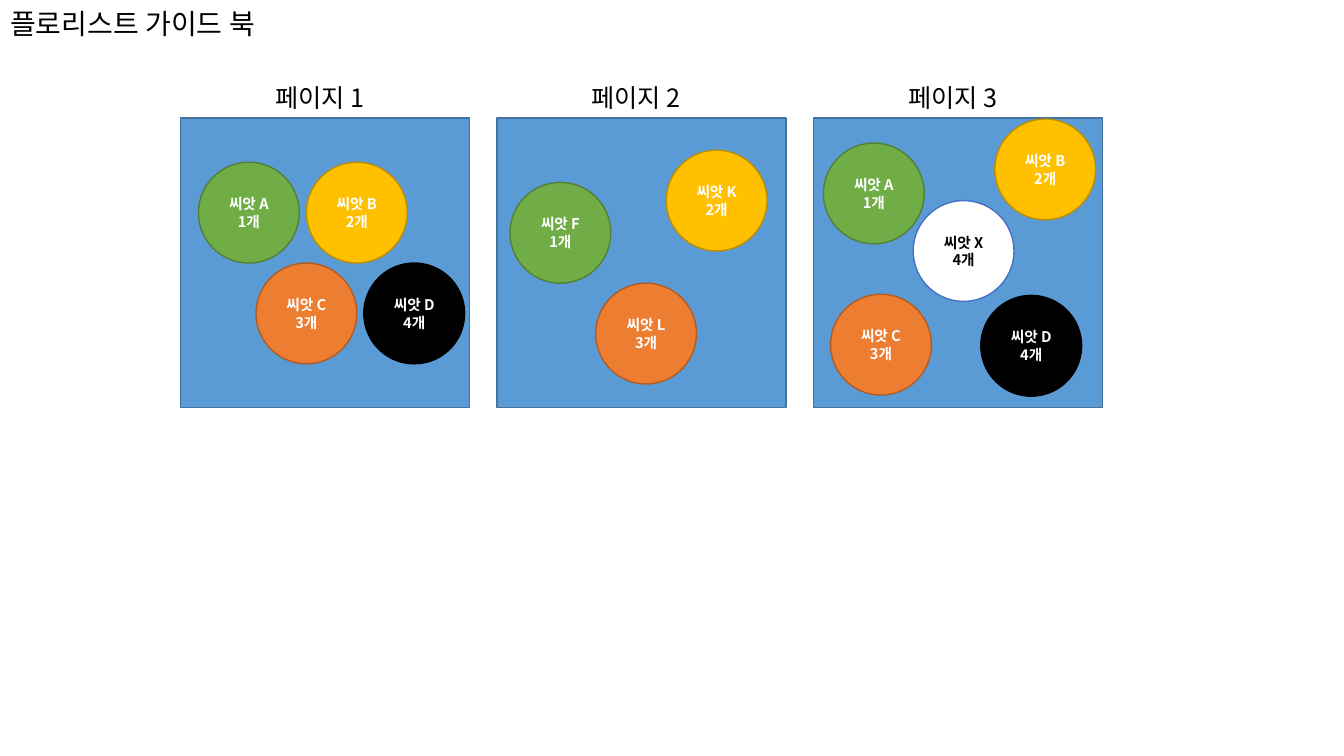
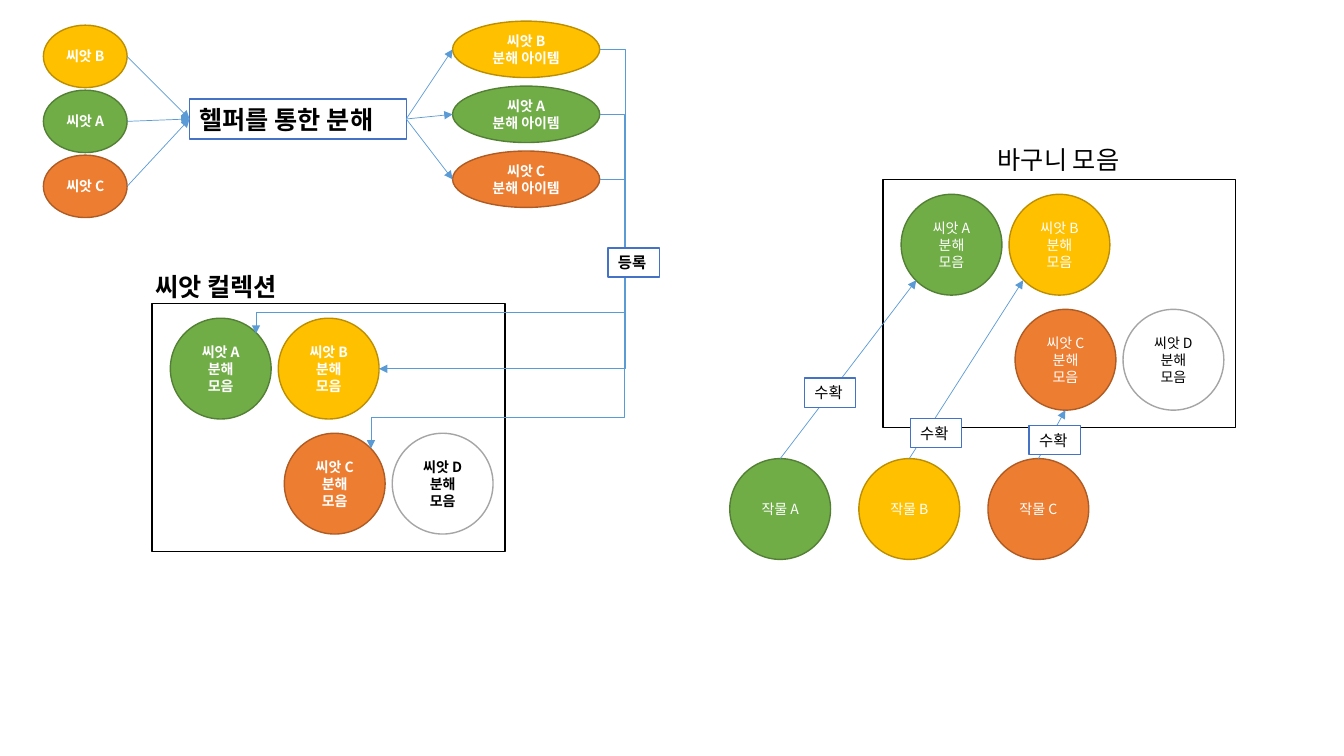
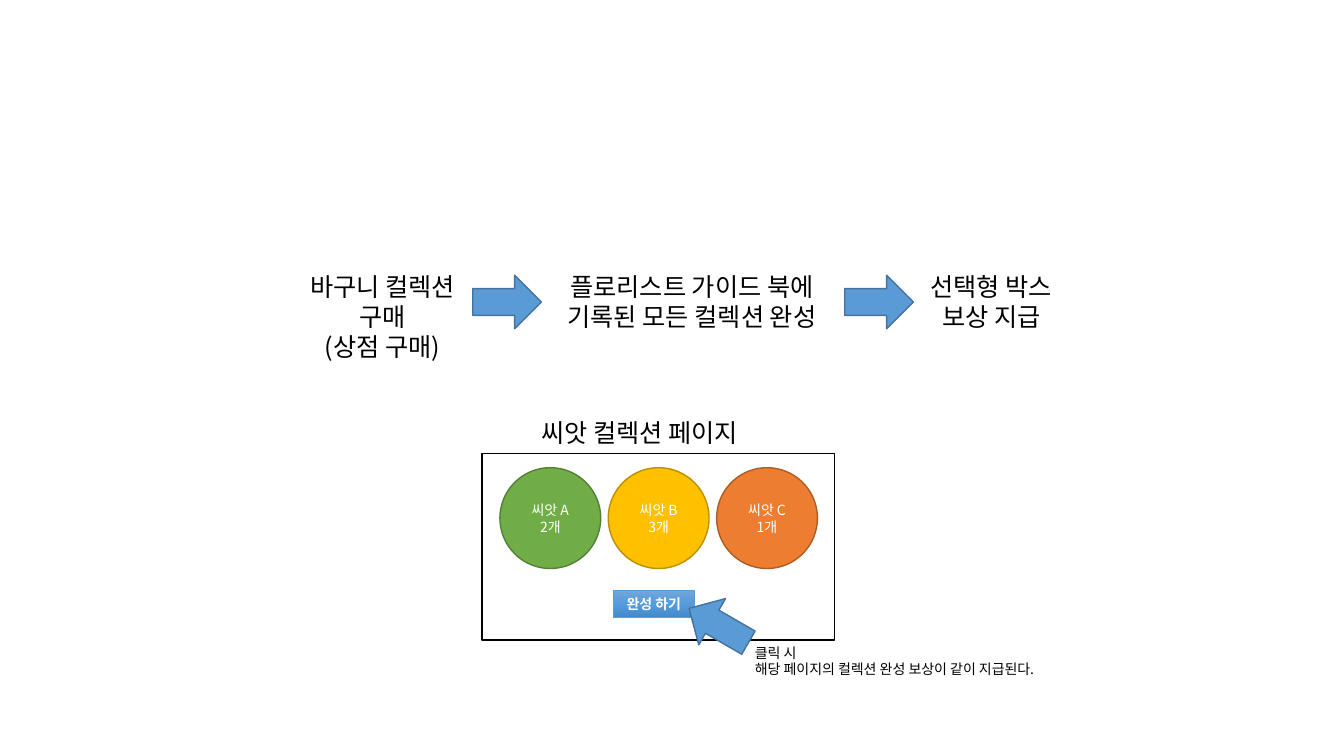
from copy import deepcopy
from lxml.etree import SubElement as Sub
from pptx import Presentation
from pptx.dml.color import RGBColor as RGB
from pptx.enum.shapes import MSO_CONNECTOR as Link, MSO_SHAPE as Form
from pptx.enum.text import MSO_ANCHOR as Anchor, MSO_AUTO_SIZE as Auto, PP_ALIGN as Align
from pptx.oxml.ns import qn
from pptx.util import Pt

FONT = "Noto Sans CJK KR"
HUE = {
    "green": "70AD47", "moss": "538035", "gold": "FFC000", "ochre": "BD8E00",
    "orange": "ED7D31", "rust": "AF5C24", "blue": "5B9BD5", "steel": "43739E",
    "royal": "4472C4", "gray": "A5A5A5", "black": "000000", "white": "FFFFFF",
    "sky": "71A6DB", "azure": "559BDB", "deep": "448ACA",
}
LOOK = {
    "A": ("green", "moss", "white"), "B": ("gold", "ochre", "white"),
    "C": ("orange", "rust", "white"), "D": ("black", "black", "white"),
    "X": ("white", "royal", "black"), "empty": ("white", "gray", "black"),
    "panel": ("blue", "steel", "white"), "frame": ("white", "black", "black"),
    "tag": ("white", "royal", "black"), "plain": (None, None, "black"),
}
DISC = 72
GROW = {"word_wrap": False, "auto_size": Auto.SHAPE_TO_FIT_TEXT}
LEFT = {"alignment": Align.LEFT}
MID = {"alignment": Align.CENTER}


def put(page, form, box, look, text="", size=10, bold=False, frame={}, para=MID):
    fill, edge, ink = LOOK[look]
    spot = [Pt(n) for n in box]
    if form == "title":
        item = page.shapes.title
        item.left, item.top, item.width, item.height = spot
    elif form == "text":
        item = page.shapes.add_textbox(*spot)
    else:
        item = page.shapes.add_shape(form, *spot)
        item.shadow.inherit = False
        item.fill.solid()
        item.fill.fore_color.rgb = RGB.from_string(HUE[fill])
        item.line.color.rgb = RGB.from_string(HUE[edge])
        item.line.width = Pt(1)
    body = item.text_frame
    body.text = text
    for key, val in frame.items():
        setattr(body, key, val)
    for row in body.paragraphs:
        for key, val in para.items():
            setattr(row, key, val)
        for run in row.runs:
            run.font.color.rgb = RGB.from_string(HUE[ink])
            for key, val in {"name": FONT, "size": Pt(size), "bold": bold}.items():
                setattr(run.font, key, val)
            Sub(run.font._element, qn("a:ea")).set("typeface", FONT)
    return item


def join(page, start, end, bends=()):
    kind = Link.ELBOW if bends else Link.STRAIGHT
    line = page.shapes.add_connector(kind, *[Pt(n) for n in (*start, *end)])
    line.line.color.rgb = RGB.from_string(HUE["blue"])
    line.line.width = Pt(0.5)
    Sub(line.element.spPr.find(qn("a:ln")), qn("a:tailEnd")).set("type", "triangle")
    Sub(line.element.spPr, qn("a:effectLst"))
    if bends:
        geom = line.element.spPr.find(qn("a:prstGeom"))
        geom.set("prst", f"bentConnector{len(bends) + 2}")
        for num, bend in enumerate(bends, 1):
            guide = Sub(geom.find(qn("a:avLst")), qn("a:gd"))
            guide.set("name", f"adj{num}")
            guide.set("fmla", f"val {bend}")


deck = Presentation()
deck.slide_width, deck.slide_height = Pt(960), Pt(540)
book, flow, prize = [deck.slides.add_slide(deck.slide_layouts[n]) for n in (5, 6, 6)]

put(book, "title", (0, 0, 960, 36.7), "plain", "플로리스트 가이드 북", 20,
    frame={"vertical_anchor": Anchor.MIDDLE, "word_wrap": True, "auto_size": Auto.NONE},
    para={"alignment": Align.LEFT, "line_spacing": 0.9})
seeds = [
    [("A", "씨앗 A\n1개", 141.8, 115.9), ("B", "씨앗 B\n2개", 218.9, 115.9),
     ("C", "씨앗 C\n3개", 182.9, 187.9), ("D", "씨앗 D 4개", 259.9, 187.9)],
    [("A", "씨앗 F\n1개", 364.3, 130.3), ("B", "씨앗 K\n2개", 475.9, 107.3),
     ("C", "씨앗 L\n3개", 425.5, 202.3)],
    [("A", "씨앗 A\n1개", 588.2, 102.2), ("B", "씨앗 B\n2개", 710.6, 85),
     ("C", "씨앗 C\n3개", 593.3, 210.2), ("D", "씨앗 D 4개", 700.6, 211),
     ("X", "씨앗 X\n4개", 652.3, 143.3)],
]
for num, group in enumerate(seeds):
    x = 128.9 + 226.1 * num
    put(book, Form.RECTANGLE, (x, 84.4, 206.6, 206.6), "panel")
    put(book, "text", (x + 60.5, 55.4, 85.7, 28.8), "plain", f"페이지 {num + 1}", 18,
        frame=GROW, para=LEFT)
    for look, text, left, top in group:
        put(book, Form.OVAL, (left, top, DISC, DISC), look, text, 10.5, True)

groups = [
    ("바구니 모음", 630.7, 128.2, 74.9, -28.8, False),
    ("씨앗 컬렉션", 108.7, 216.7, -5, -26.6, True),
]
for text, x, y, dx, dy, bold in groups:
    put(flow, Form.RECTANGLE, (x, y, 252, 177.1), "frame")
    put(flow, "text", (x + dx, y + dy, 111.6, 28.8), "plain", text, 18, bold, GROW, LEFT)
    for num, name in enumerate("ABCD"):
        row, col = divmod(num, 2)
        put(flow, Form.OVAL, (x + 13 + 77.1 * col + 81.4 * row, y + 10.6 + 82.2 * row, DISC, DISC),
            "empty" if name == "D" else name, f"씨앗 {name}\n분해 모음", bold=bold)

crops = [
    ("A", (654.5, 200.2), (574.6, 270)),
    ("B", (730.8, 200.2), (650.2, 298.8)),
    ("C", (761, 293), (735.1, 303.8)),
]
for num, (name, goal, spot) in enumerate(crops):
    x = 521.3 + 92.2 * num
    put(flow, Form.OVAL, (x, 327.6, DISC, DISC), name, f"작물 {name}")
    join(flow, (x + DISC / 2, 327.6), goal)
    put(flow, Form.RECTANGLE, (*spot, 36.7, 20.9), "tag", "수확", 11, frame=GROW, para=LEFT)

put(flow, Form.RECTANGLE, (135.4, 70.6, 154.8, 28.8), "tag", "헬퍼를 통한 분해", 18, True,
    GROW, LEFT)
routes = [
    ("B", (270.7, 263.5), (-11400,)),
    ("A", (182.9, 238.3), (-7300, 90100)),
    ("C", (265, 320.4), (-11000, 88400)),
]
for num, (name, goal, bends) in enumerate(routes):
    y = 46.4 * num
    put(flow, Form.OVAL, (31, 18 + y, 59.8, 44.6), name, f"씨앗 {name}", bold=True)
    put(flow, Form.OVAL, (323.3, 15.1 + y, 105.1, 40.3), name, f"씨앗 {name}\n분해 아이템",
        bold=True)
    join(flow, (90.8, 40.3 + y), (135.4, 85))
    join(flow, (290.2, 85), (323.3, 35.3 + y))
    join(flow, (428.4, 35.3 + y), goal, bends)
put(flow, Form.RECTANGLE, (434.2, 177.1, 36.7, 20.9), "tag", "등록", 11, True, GROW, LEFT)

steps = [
    ("바구니 컬렉션\n구매\n(상점 구매)", 208.1, 130.3, 72.7),
    ("플로리스트 가이드 북에\n기록된 모든 컬렉션 완성", 386.6, 215.3, 51.1),
    ("선택형 박스\n보상 지급", 652.3, 111.6, 51.1),
]
for text, x, wide, high in steps:
    put(prize, "text", (x, 190.1, wide, high), "plain", text, 18, frame=GROW)
for x in (337.7, 603.4):
    put(prize, Form.RIGHT_ARROW, (x, 196.6, 49, 38.2), "panel")

put(prize, "text", (379.4, 294.5, 172.8, 28.8), "plain", "씨앗 컬렉션 페이지", 18,
    frame=GROW, para=LEFT)
put(prize, Form.RECTANGLE, (344.2, 324, 252, 133.2), "frame")
for num, (name, count) in enumerate(zip("ABC", (2, 3, 1))):
    put(prize, Form.OVAL, (357.1 + 77.4 * num, 334.1, DISC, DISC), name,
        f"씨앗 {name}\n{count}개")

press = put(prize, Form.RECTANGLE, (437.8, 421.9, 58.3, 19.4), "panel", "완성 하기",
            bold=True, frame=GROW)
press.line.color.rgb = RGB.from_string(HUE["blue"])
press.line.width = Pt(0.5)
press.fill.gradient()
press.fill.gradient_angle = 270
shades = press.element.spPr.find(".//" + qn("a:gsLst"))
shades.insert(1, deepcopy(shades[0]))
for stop, place, hue in zip(press.fill.gradient_stops, (0, 0.5, 1), ("sky", "azure", "deep")):
    stop.position = place
    stop.color.rgb = RGB.from_string(HUE[hue])

hand = put(prize, Form.RIGHT_ARROW, (488.9, 427.7, 49, 38.2), "panel")
hand.rotation = 210
put(prize, "text", (532.1, 456.5, 239.8, 31.7), "plain",
    "클릭 시\v해당 페이지의 컬렉션 완성 보상이 같이 지급된다.", frame=GROW, para=LEFT)

deck.save("out.pptx")
